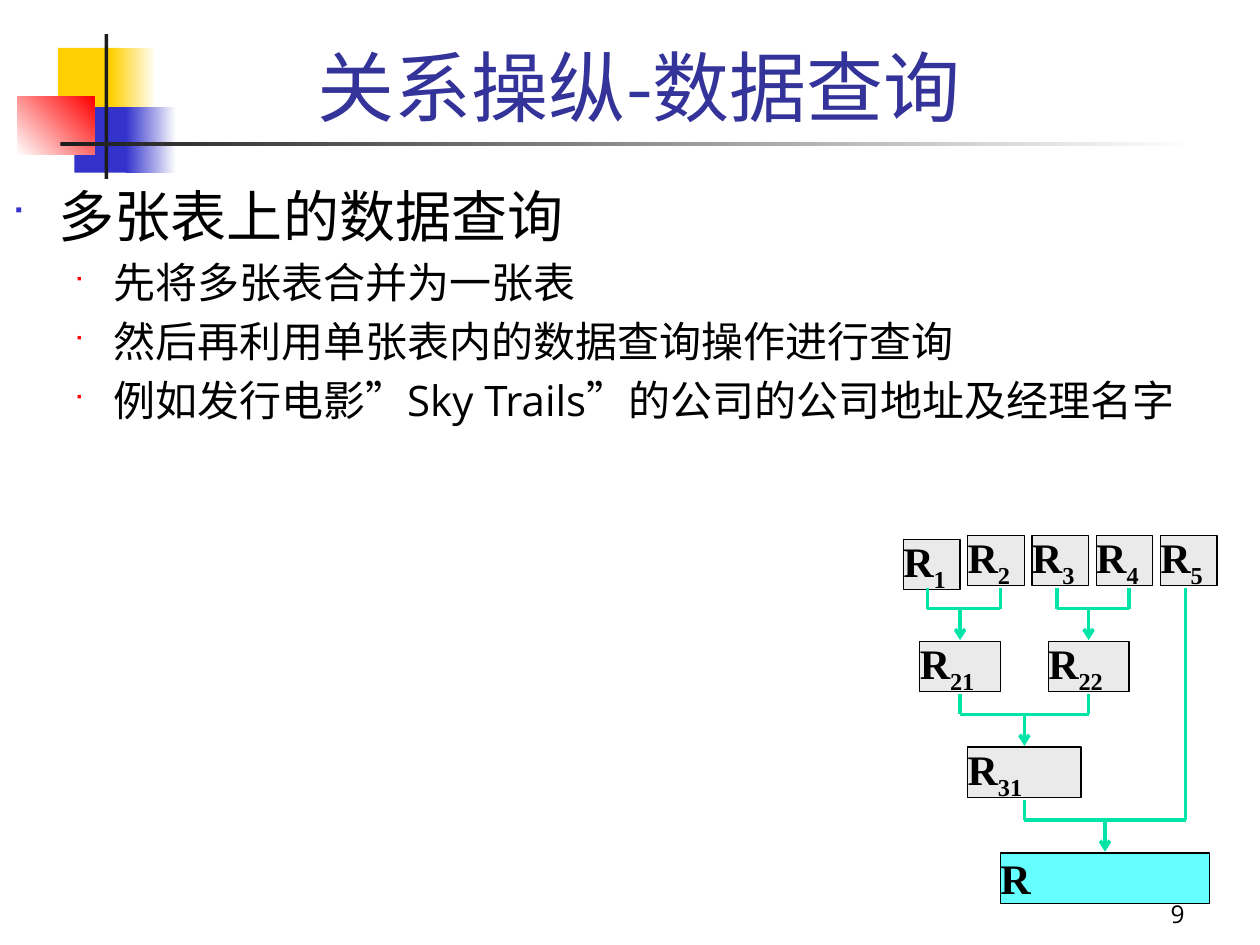
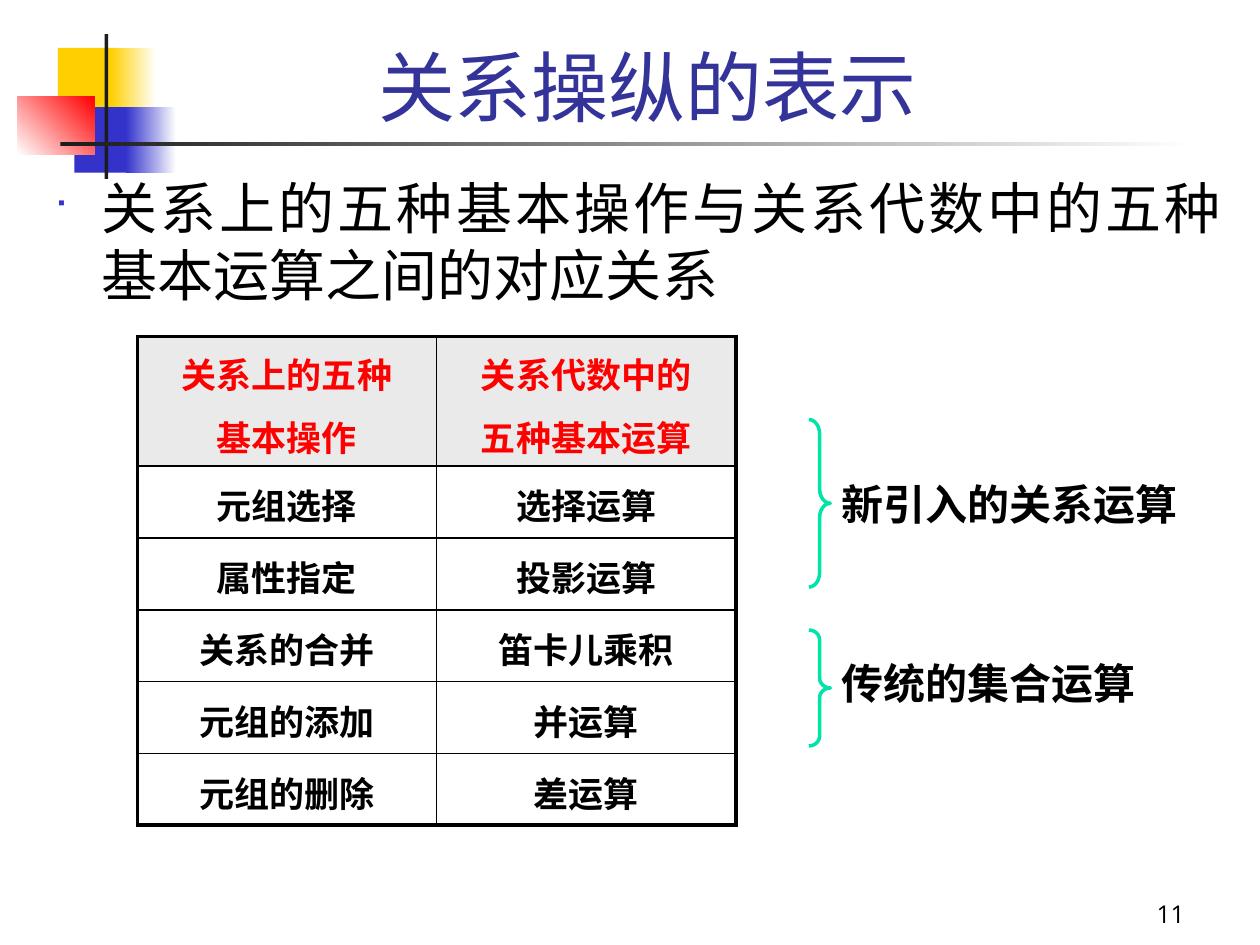
from dataclasses import dataclass

from lxml import etree
from pptx import Presentation
from pptx import util as u
from pptx.dml.color import RGBColor
from pptx.enum import lang, shapes, text
from pptx.oxml.ns import qn

Inches, Pt = u.Inches, u.Pt


@dataclass(frozen=True)
class Theme:
    white: str = "FFFFFF"
    black: str = "000000"
    ink: str = "1C1C1C"
    yellow: str = "FFCF01"
    blue: str = "3333CC"
    red: str = "FF0000"
    title: str = "333399"
    grey: str = "EAEAEA"
    cyan: str = "66FFFF"
    green: str = "00E4A8"
    title_size: int = 44
    topic_size: int = 32
    point_size: int = 24
    cell_size: int = 20
    page_size: int = 14
    cjk: str = "Noto Sans CJK SC"
    sans: str = "Open Sans"
    serif: str = "Times New Roman"


T = Theme()
rgb = RGBColor.from_string


# ---- Shared helpers ----
def add_run(par, words, size, font, color=T.black, bold=False, baseline=0):
    run = par.add_run()
    run.text = words
    run.font.size, run.font.bold, run.font.name = Pt(size), bold, font
    run.font.color.rgb = rgb(color)
    run.font.language_id = lang.MSO_LANGUAGE_ID.SIMPLIFIED_CHINESE
    props = run.font._element
    etree.SubElement(props, qn("a:ea")).set("typeface", T.cjk)
    if baseline:
        props.set("baseline", str(baseline * 1000))


def add_frame(parent, box, anchor=text.MSO_ANCHOR.TOP):
    frame = parent.shapes.add_textbox(*map(Inches, box)).text_frame
    frame.word_wrap = True
    frame.vertical_anchor = anchor
    return frame


def add_preset(parent, kind, box, fill=None, line=None, width=0.75):
    shape = parent.shapes.add_shape(kind, *map(Inches, box))
    shape.shadow.inherit = False
    if fill:
        shape.fill.solid()
        shape.fill.fore_color.rgb = rgb(fill)
    else:
        shape.fill.background()
    if line:
        shape.line.color.rgb = rgb(line)
        shape.line.width = Pt(width)
    else:
        shape.line.fill.background()
    return shape


def add_line(parent, start, end, arrow=False):
    line = parent.shapes.add_connector(
        shapes.MSO_CONNECTOR.STRAIGHT, *map(Inches, (*start, *end)))
    line.line.color.rgb = rgb(T.green)
    line.line.width = Pt(2)
    if arrow:
        etree.SubElement(line.line._get_or_add_ln(), qn("a:tailEnd")).set("type", "arrow")
    etree.SubElement(line._element.spPr, qn("a:effectLst"))


def set_bullet(par, color, percent, left, hanging):
    props = par._p.get_or_add_pPr()
    props.set("marL", str(Inches(left)))
    props.set("indent", str(-Inches(hanging)))
    bullet_color = etree.SubElement(props, qn("a:buClr"))
    etree.SubElement(bullet_color, qn("a:srgbClr")).set("val", color)
    etree.SubElement(props, qn("a:buSzPct")).set("val", str(percent * 1000))
    etree.SubElement(props, qn("a:buFont")).set("typeface", "Wingdings")
    etree.SubElement(props, qn("a:buChar")).set("char", "■")


# ---- Parts every slide has ----
def draw_band(slide):
    blocks = [  # box, start colour, end colour, angle
        ((0.46, 0.38, 0.48, 0.52), T.yellow, None, 0),
        ((0.88, 0.38, 0.36, 0.52), T.yellow, T.white, 0),
        ((0.59, 0.85, 0.46, 0.52), T.blue, None, 0),
        ((1, 0.85, 0.4, 0.52), T.blue, T.white, 0),
        ((0.14, 0.77, 0.61, 0.46), T.white, T.red, 45),
        ((0.83, 0.27, 0.03, 1.15), T.ink, None, 0),
        ((0.48, 1.13, 9, 0.03), T.ink, T.white, 0),
    ]
    for box, start, end, angle in blocks:
        block = add_preset(slide, shapes.MSO_SHAPE.RECTANGLE, box, start)
        if end:
            block.fill.gradient()
            block.fill.gradient_angle = angle
            for stop, color in zip(block.fill.gradient_stops, (start, end)):
                stop.color.rgb = rgb(color)


def draw_title(slide, box, words, shift):
    frame = add_frame(slide, box, text.MSO_ANCHOR.MIDDLE)
    frame.margin_left = Inches(0.1 + shift)
    par = frame.paragraphs[0]
    par.alignment = text.PP_ALIGN.CENTER
    add_run(par, words, T.title_size, T.cjk, T.title)


def draw_page_number(slide, box, number):
    par = add_frame(slide, box, text.MSO_ANCHOR.BOTTOM).paragraphs[0]
    par.alignment = text.PP_ALIGN.RIGHT
    add_run(par, str(number), T.page_size, T.sans)


def start_slide(deck, title, shift, number):
    slide = deck.slides.add_slide(deck.slide_layouts[6])
    draw_band(slide)
    draw_title(slide, (0.75, 0.25, 8.52, 0.86), title, shift)
    draw_page_number(slide, (7.42, 6.92, 2.08, 0.5), number)
    return slide


def draw_outline(slide, box, topic, points=()):
    frame = add_frame(slide, box)
    for i, words in enumerate((topic, *points)):
        par = frame.add_paragraph() if i else frame.paragraphs[0]
        size = T.point_size if i else T.topic_size
        par.alignment = text.PP_ALIGN.JUSTIFY
        par.space_before = Pt(size * 0.2)
        if i:
            par.level = 1
            set_bullet(par, T.red, 55, 0.81, 0.31)
        else:
            set_bullet(par, T.blue, 60, 0.38, 0.38)
        add_run(par, words, size, T.sans if i else T.cjk)


# ---- Merge tree of relations ----
def draw_merge_tree(slide, left, top):
    tree = slide.shapes.add_group_shape()
    column, row, height = 0.51, 0.84, 0.4
    stub, bar, tip = 0.42, 0.58, 0.83  # below the top of a row

    def relation(x, y, width, index, fill=T.grey):
        node = add_preset(tree, shapes.MSO_SHAPE.RECTANGLE,
                          (left + x, top + y, width, height), fill, T.black)
        frame = node.text_frame
        frame.word_wrap = True
        frame.vertical_anchor = text.MSO_ANCHOR.MIDDLE
        frame.margin_left = frame.margin_right = 0
        frame.margin_top = frame.margin_bottom = 0
        par = frame.paragraphs[0]
        par.alignment = text.PP_ALIGN.LEFT
        add_run(par, "R", T.point_size, T.serif, bold=True)
        if index:
            add_run(par, index, T.point_size, T.serif, bold=True, baseline=-25)

    def merge(sources, level, target):
        bar_y = top + level * row + bar
        for x, source_level in sources:
            add_line(tree, (left + x, top + source_level * row + stub), (left + x, bar_y))
        ends = [left + x for x, _ in sources]
        add_line(tree, (ends[0], bar_y), (ends[1], bar_y))
        add_line(tree, (left + target, bar_y),
                 (left + target, top + level * row + tip), arrow=True)

    for i in range(5):
        relation(i * column, 0 if i else 0.03, 0.45, str(i + 1))
    relation(0.13, row, 0.64, "21")
    relation(1.15, row, 0.64, "22")
    relation(column, 2 * row, 0.9, "31")
    relation(0.77, 3 * row, 1.66, "", T.cyan)

    merge([(0.19, 0), (0.77, 0)], 0, 0.45)
    merge([(1.22, 0), (1.79, 0)], 0, 1.47)
    merge([(0.45, 1), (1.47, 1)], 1, 0.96)
    merge([(0.96, 2), (2.24, 0)], 2, 1.6)


# ---- Table of operations ----
def set_borders(cell, widths):
    props = cell._tc.get_or_add_tcPr()
    for i, (side, width) in enumerate(widths.items()):
        edge = etree.Element(qn("a:ln" + side), w=str(Pt(width)))
        fill = etree.SubElement(edge, qn("a:solidFill"))
        etree.SubElement(fill, qn("a:srgbClr")).set("val", T.black)
        props.insert(i, edge)


def draw_operations(slide, box, rows):
    last_row, last_col = len(rows) - 1, len(rows[0]) - 1
    table = slide.shapes.add_table(len(rows), len(rows[0]), *map(Inches, box)).table
    table.first_row = table.horz_banding = False
    for r, row in enumerate(rows):
        table.rows[r].height = Inches(0.57 if r else 1.03)
        for c, lines in enumerate(row):
            cell = table.cell(r, c)
            cell.vertical_anchor = text.MSO_ANCHOR.MIDDLE
            if r:
                cell.fill.background()
            else:
                cell.fill.solid()
                cell.fill.fore_color.rgb = rgb(T.grey)
            outer = {"L": c == 0, "R": c == last_col, "T": r == 0, "B": r == last_row}
            set_borders(cell, {side: 2.25 if out else 1 for side, out in outer.items()})
            for i, words in enumerate(lines.split("\n")):
                frame = cell.text_frame
                par = frame.add_paragraph() if i else frame.paragraphs[0]
                par.alignment = text.PP_ALIGN.CENTER
                par.line_spacing = 1.1
                par.space_before = Pt(T.cell_size * 0.2)
                add_run(par, words, T.cell_size, T.serif,
                        T.black if r else T.red, bold=True)


def draw_brace_note(slide, left, top, height, curve, words, label_top, label_width):
    note = slide.shapes.add_group_shape()
    brace = add_preset(note, shapes.MSO_SHAPE.RIGHT_BRACE,
                       (left, top, 0.17, height), line=T.green, width=2)
    brace.adjustments[0] = curve
    brace.adjustments[1] = 0.5
    frame = add_frame(note, (left + 0.16, label_top, label_width, 0.5))
    add_run(frame.paragraphs[0], words, T.point_size, T.serif, bold=True)


# ---- Slides ----
def multi_table_query(deck):
    slide = start_slide(deck, "关系操纵-数据查询", 0.13, 9)
    draw_outline(slide, (-0.01, 1.39, 9.74, 5.92), "多张表上的数据查询", (
        "先将多张表合并为一张表",
        "然后再利用单张表内的数据查询操作进行查询",
        "例如发行电影”Sky Trails”的公司的公司地址及经理名字",
    ))
    draw_merge_tree(slide, 7.17, 4.25)


def operation_mapping(deck):
    slide = start_slide(deck, "关系操纵的表示", 0.26, 11)
    draw_outline(slide, (0.33, 1.33, 9.46, 5.92),
                 "关系上的五种基本操作与关系代数中的五种基本运算之间的对应关系")
    draw_operations(slide, (1.09, 2.67, 4.75, 3.88), [
        ("关系上的五种\n基本操作", "关系代数中的\n五种基本运算"),
        ("元组选择", "选择运算"),
        ("属性指定", "投影运算"),
        ("关系的合并", "笛卡儿乘积"),
        ("元组的添加", "并运算"),
        ("元组的删除", "差运算"),
    ])
    draw_brace_note(slide, 6.42, 5, 0.92, 0.46, "传统的集合运算", 5.17, 2.83)
    draw_brace_note(slide, 6.42, 3.33, 1.33, 0.67, "新引入的关系运算", 3.75, 3)


deck = Presentation()
deck.slide_width, deck.slide_height = Inches(10), Inches(7.5)
multi_table_query(deck)
operation_mapping(deck)
deck.save("out.pptx")
